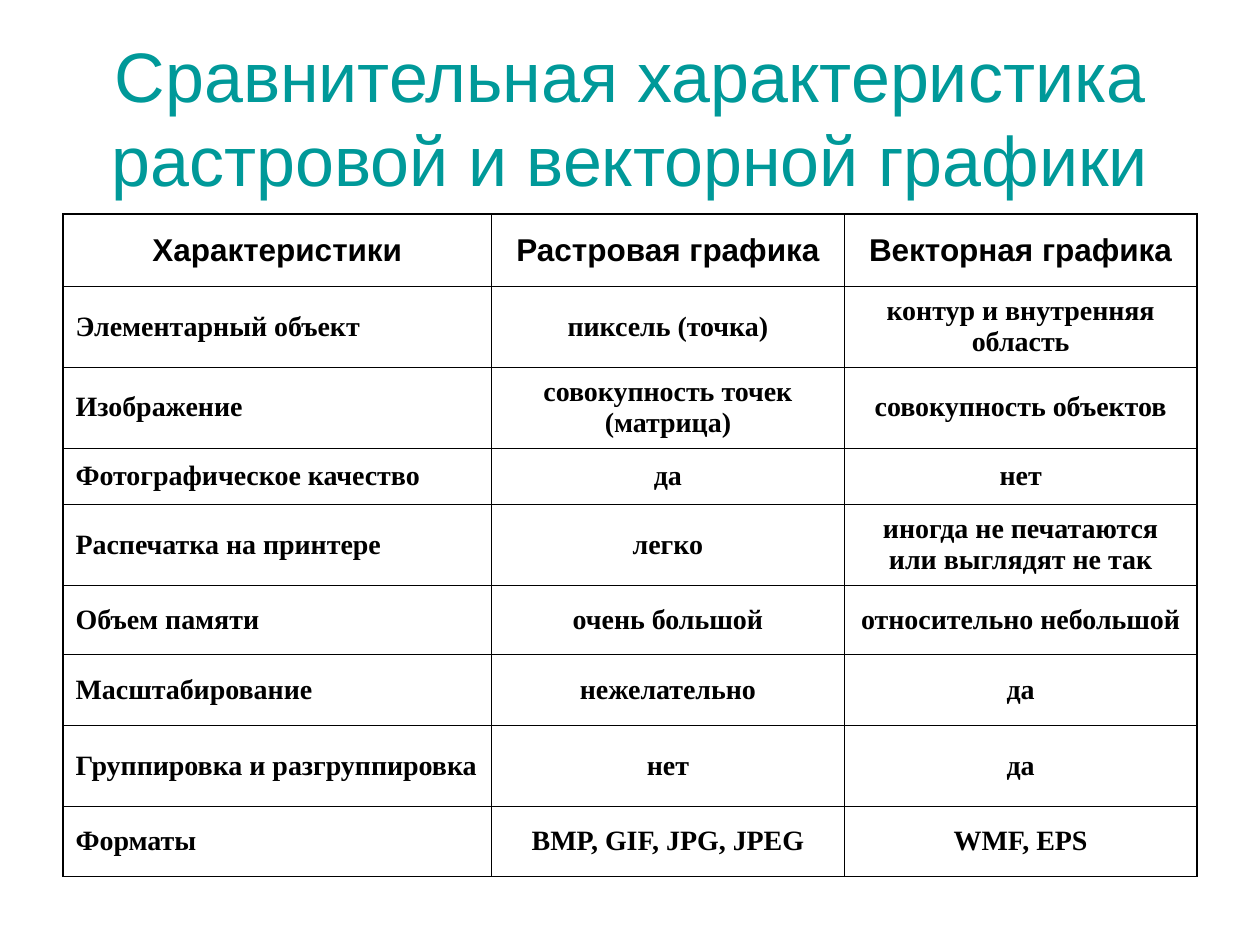
from lxml.etree import SubElement as Sub
from pptx import Presentation
from pptx.dml.color import RGBColor
from pptx.enum.text import MSO_ANCHOR as Anchor, MSO_AUTO_SIZE as Fit, PP_ALIGN as Align
from pptx.oxml.ns import qn
from pptx.util import Cm, Pt

TEAL = RGBColor(0x00, 0x99, 0x99)
BLACK = RGBColor(0x00, 0x00, 0x00)
THIN, THICK = Pt(0.45), Pt(1.08)

ROWS = [
    ("Характеристики", "Растровая графика", "Векторная графика"),
    ("Элементарный объект", "пиксель (точка)", "контур и внутренняя область"),
    ("Изображение", "совокупность точек (матрица)", "совокупность объектов"),
    ("Фотографическое качество", "да", "нет"),
    ("Распечатка на принтере", "легко", "иногда не печатаются или выглядят не так"),
    ("Объем памяти", "очень большой", "относительно небольшой"),
    ("Масштабирование", "нежелательно", "да"),
    ("Группировка и разгруппировка", "нет", "да"),
    ("Форматы", "BMP, GIF, JPG, JPEG", "WMF, EPS"),
]
WIDTHS = [8.64, 7.11, 7.11]
HEIGHTS = [1.45, 1.63, 1.63, 1.14, 1.63, 1.4, 1.42, 1.63, 1.42]


def style(para, name, size, color, bold, align):
    para.alignment = align
    font = para.font
    font.name, font.size, font.bold = name, Pt(size), bold
    font.color.rgb = color


def border(cell, side, width):
    line = Sub(cell._tc.get_or_add_tcPr(), qn(f"a:ln{side}"), w=str(width))
    fill = Sub(line, qn("a:solidFill"))
    Sub(fill, qn("a:srgbClr"), val=str(BLACK))


deck = Presentation()
deck.slide_width, deck.slide_height = Cm(25.4), Cm(19.05)
slide = deck.slides.add_slide(deck.slide_layouts[5])

# Title
title = slide.shapes.title
title.left, title.top, title.width, title.height = Cm(1.27), Cm(0.76), Cm(22.86), Cm(3.18)
frame = title.text_frame
frame.text = "Сравнительная характеристика растровой и векторной графики"
frame.auto_size = Fit.NONE
frame.vertical_anchor = Anchor.MIDDLE
style(frame.paragraphs[0], "Arial", 40, TEAL, False, Align.CENTER)

# Table grid
table = slide.shapes.add_table(
    len(ROWS), len(WIDTHS), Cm(1.27), Cm(4.32), Cm(sum(WIDTHS)), Cm(sum(HEIGHTS))
).table
table.horz_banding = False
for col, width in zip(table.columns, WIDTHS):
    col.width = Cm(width)
for row, height in zip(table.rows, HEIGHTS):
    row.height = Cm(height)

# Cells: thick outer frame, thin inner lines
for r, texts in enumerate(ROWS):
    for c, text in enumerate(texts):
        cell = table.cell(r, c)
        cell.text = text
        cell.vertical_anchor = Anchor.MIDDLE
        name, size = ("Arial", 18) if r == 0 else ("Times New Roman", 16)
        align = Align.LEFT if c == 0 and r > 0 else Align.CENTER
        style(cell.text_frame.paragraphs[0], name, size, BLACK, True, align)
        outer = {"L": c == 0, "R": c == len(WIDTHS) - 1,
                 "T": r == 0, "B": r == len(ROWS) - 1}
        for side, edge in outer.items():
            border(cell, side, THICK if edge else THIN)
        cell.fill.background()

deck.save("out.pptx")
